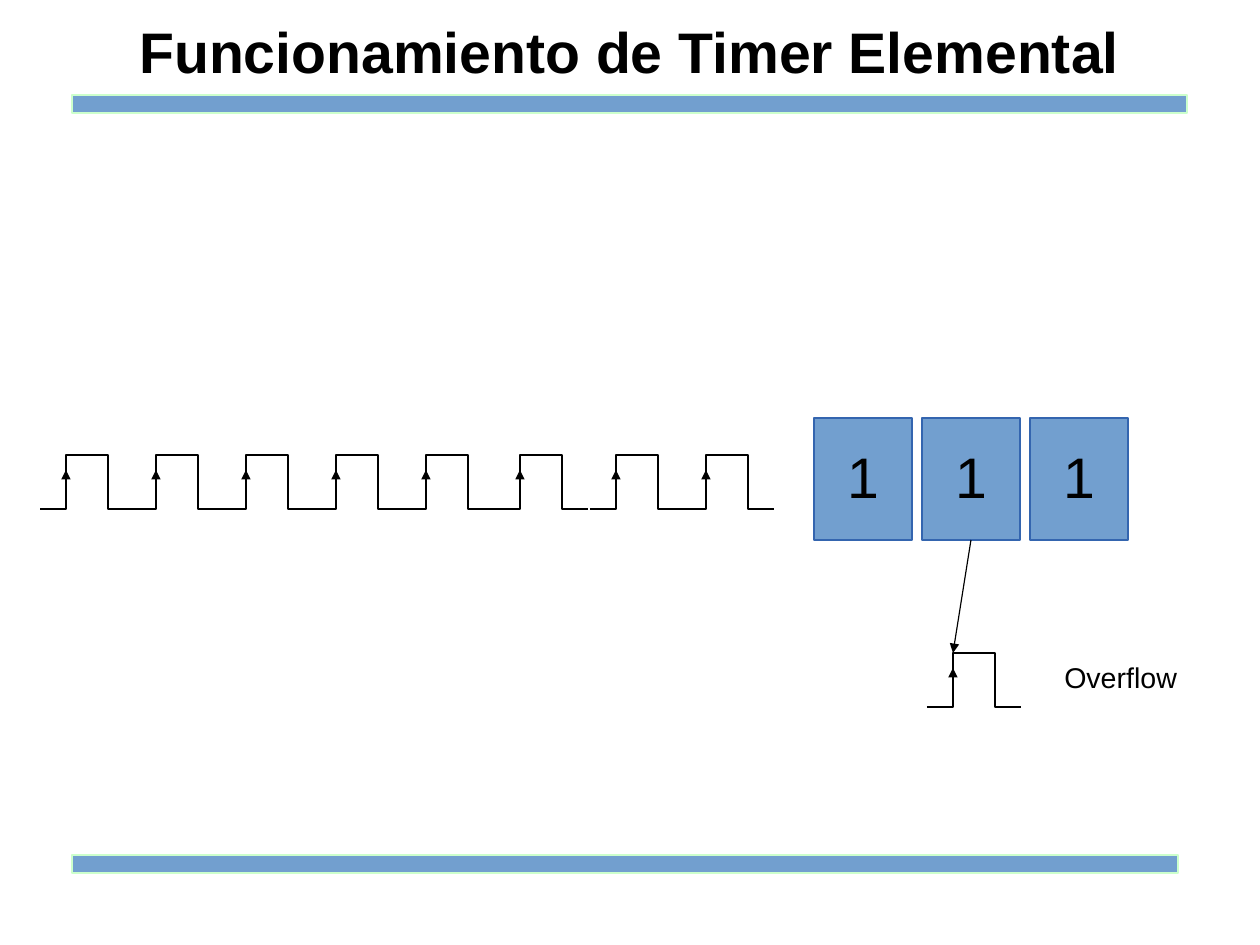
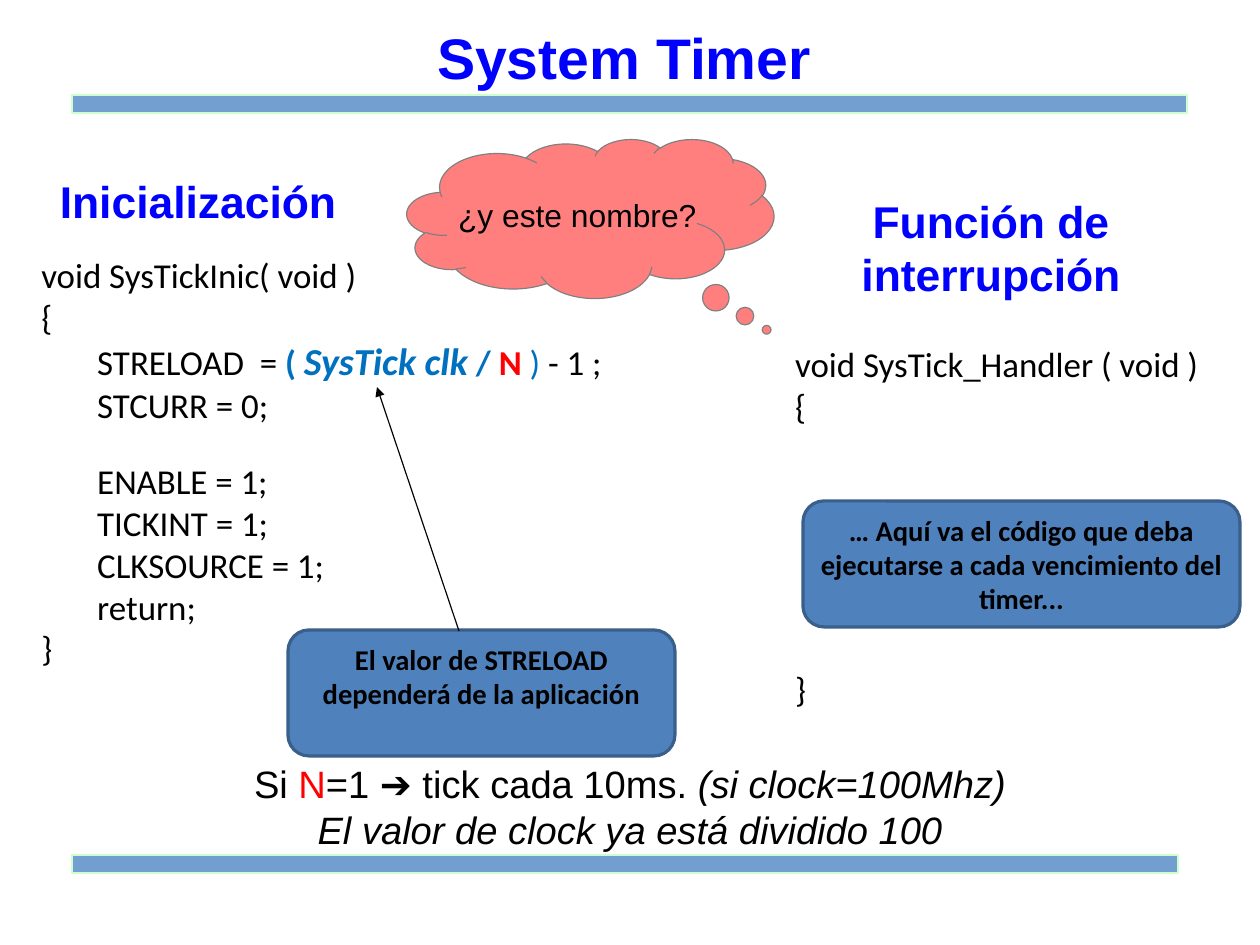
from lxml import etree
from pptx import Presentation
from pptx import util as u
from pptx.dml.color import RGBColor
from pptx.enum import shapes, text
from pptx.oxml.ns import qn

EMU_PER_PX = 8000
SLIDE_SIZE = (1260, 945)

# Shared colours and formats
BLACK, BLUE, RED, FORMULA = "000000", "0000FF", "FF0000", "0070C0"
BAND = {"fill": "729FCF", "line": "CCFFCC"}
REGISTER = {"fill": "729FCF", "line": "3465AF"}
NOTE = {"fill": "4F81BD", "line": "3A5F8B", "line_width": 2}
CLOUD = {"fill": RED, "line": "808080", "opacity": 50}

TITLE = {"name": "Arial", "size": 36, "bold": True, "color": BLACK}
BLUE_TITLE = {**TITLE, "color": BLUE}
HEADING = {**BLUE_TITLE, "size": 28}
DIGIT = {"name": "Arial", "size": 36, "color": BLACK}
LABEL = {**DIGIT, "size": 18}
QUESTION = {**DIGIT, "size": 20}
SUMMARY = {**DIGIT, "size": 24}
CODE = {"name": "Calibri", "size": 22, "color": BLACK}
NOTE_TEXT = {**CODE, "size": 18, "bold": True}

CENTER, LEFT = text.PP_ALIGN.CENTER, text.PP_ALIGN.LEFT
TOP, MIDDLE = text.MSO_ANCHOR.TOP, text.MSO_ANCHOR.MIDDLE
TAB_STOP = 56
BLANK_LINE = 21.7  # points left free in place of an empty code line

# Clock signal: offsets of the corners from the lower left end
PULSE_HEIGHT = 54
PULSE_RISE, PULSE_FALL, PULSE_END = 26, 68, 94
EDGE_ARROW = 39


def px(length):
    return u.Emu(length * EMU_PER_PX)


def rgb(color):
    return RGBColor.from_string(color)


def set_font(font, formats):
    for key, value in formats.items():
        if key == "color":
            font.color.rgb = rgb(value)
        else:
            setattr(font, key, u.Pt(value) if key == "size" else value)


def add_tab_stop(paragraph):
    properties = paragraph._p.get_or_add_pPr()
    tabs = etree.SubElement(properties, qn("a:tabLst"))
    etree.SubElement(tabs, qn("a:tab"), pos=str(px(TAB_STOP)), algn="l")


def write(shape, paragraphs, formats, align=CENTER, anchor=TOP, wrap=True,
          line_spacing=None, gaps=None):
    """Each paragraph is a string or a list of (text, format changes)."""
    frame = shape.text_frame
    frame.word_wrap = wrap
    frame.vertical_anchor = anchor
    for index, content in enumerate(paragraphs):
        paragraph = frame.paragraphs[0] if index == 0 else frame.add_paragraph()
        paragraph.alignment = align
        if line_spacing:
            paragraph.line_spacing = line_spacing
        if gaps and index in gaps:
            paragraph.space_before = u.Pt(gaps[index])
        runs = [(content, {})] if isinstance(content, str) else content
        if any("\t" in words for words, _ in runs):
            add_tab_stop(paragraph)
        for words, changes in runs:
            run = paragraph.add_run()
            run.text = words
            set_font(run.font, {**formats, **changes})


def add_text(slide, box, paragraphs, formats, **layout):
    shape = slide.shapes.add_textbox(*map(px, box))
    write(shape, paragraphs, formats, **layout)
    return shape


def add_box(slide, kind, box, fill, line, line_width=0.75, opacity=None):
    shape = slide.shapes.add_shape(kind, *map(px, box))
    shape.shadow.inherit = False
    shape.fill.solid()
    shape.fill.fore_color.rgb = rgb(fill)
    shape.line.color.rgb = rgb(line)
    shape.line.width = u.Pt(line_width)
    if opacity is not None:
        color = shape.element.spPr.find(qn("a:solidFill"))[0]
        etree.SubElement(color, qn("a:alpha"), val=str(opacity * 1000))
    return shape


def add_arrow(slide, start, end):
    arrow = slide.shapes.add_connector(
        shapes.MSO_CONNECTOR.STRAIGHT, *map(px, start + end))
    arrow.line.color.rgb = rgb(BLACK)
    arrow.line.width = u.Pt(0.75)
    properties = arrow.element.spPr
    etree.SubElement(properties.find(qn("a:ln")), qn("a:tailEnd"), type="triangle")
    etree.SubElement(properties, qn("a:effectLst"))
    return arrow


def add_pulse(slide, left, top):
    """Square pulse with an arrow on its rising edge."""
    bottom = top + PULSE_HEIGHT
    rise, fall = left + PULSE_RISE, left + PULSE_FALL
    builder = slide.shapes.build_freeform(left, bottom, scale=EMU_PER_PX)
    builder.add_line_segments(
        [(rise, bottom), (rise, top), (fall, top), (fall, bottom),
         (left + PULSE_END, bottom)], close=False)
    pulse = builder.convert_to_shape()
    pulse.shadow.inherit = False
    pulse.fill.background()
    pulse.line.color.rgb = rgb(BLACK)
    pulse.line.width = u.Pt(0.75)
    add_arrow(slide, (rise, bottom), (rise, bottom - EDGE_ARROW))


def add_note(slide, box, words):
    note = add_box(slide, shapes.MSO_SHAPE.ROUNDED_RECTANGLE, box, **NOTE)
    write(note, [words], NOTE_TEXT)


def add_slide(presentation):
    """Blank slide with the upper and lower bands."""
    slide = presentation.slides.add_slide(presentation.slide_layouts[6])
    for top, width in ((95, 1115), (855, 1106)):
        add_box(slide, shapes.MSO_SHAPE.FLOWCHART_PROCESS,
                (72, top, width, 18), **BAND)
    return slide


def build_elemental_timer(presentation):
    slide = add_slide(presentation)
    title = add_text(slide, (63, 14, 1133, 81), ["Funcionamiento de Timer Elemental"],
                     TITLE, anchor=MIDDLE, line_spacing=0.93)
    for side in ("left", "top", "right", "bottom"):
        setattr(title.text_frame, f"margin_{side}", 0)

    # Clock train
    for left in (*range(40, 401, 90), 494, 590, 680):
        add_pulse(slide, left, 455)

    # Three-bit counter
    registers = []
    for index in range(3):
        register = add_box(slide, shapes.MSO_SHAPE.RECTANGLE,
                           (814 + 108 * index, 418, 98, 122), **REGISTER)
        write(register, ["1"], DIGIT, anchor=MIDDLE, wrap=False, line_spacing=0.93)
        registers.append(register)

    # Overflow
    overflow_left, overflow_top = 927, 653
    add_pulse(slide, overflow_left, overflow_top)
    arrow = add_arrow(slide, (971, 540), (overflow_left + PULSE_RISE, overflow_top))
    arrow.begin_connect(registers[1], 2)
    add_text(slide, (1053, 657, 150, 43), ["Overflow"], LABEL,
             align=LEFT, line_spacing=0.93)


def build_system_timer(presentation):
    slide = add_slide(presentation)
    add_text(slide, (72, 17, 1104, 71), ["System Timer"], BLUE_TITLE)

    # Initialisation code
    formula = {"color": FORMULA, "bold": True}
    add_text(slide, (30, 248, 814, 595), [
        "void SysTickInic( void )",
        "{",
        [("\tSTRELOAD  = ", {}),
         ("( ", formula),
         ("SysTick clk", {**formula, "size": 24, "italic": True}),
         (" / ", formula),
         ("N", {"color": RED, "bold": True}),
         (" ) ", {"color": FORMULA}),
         ("- 1 ;", {})],
        "\tSTCURR = 0;",
        "\tENABLE = 1;",
        "\tTICKINT = 1;",
        "\tCLKSOURCE = 1;",
        "\treturn;",
        "}",
    ], CODE, align=LEFT, gaps={4: BLANK_LINE})
    add_note(slide, (288, 630, 387, 126),
             "El valor de STRELOAD dependerá de la aplicación")
    add_arrow(slide, (459, 631), (377, 387))
    add_text(slide, (0, 168, 396, 71), ["Inicialización"], HEADING)

    # Interrupt handler
    add_text(slide, (784, 337, 476, 394),
             ["void SysTick_Handler ( void )", "{", "}"],
             CODE, align=LEFT, gaps={2: 7 * BLANK_LINE})
    add_note(slide, (803, 501, 437, 126),
             "… Aquí va el código que deba ejecutarse a cada vencimiento del timer...")
    add_text(slide, (752, 188, 478, 130), ["Función de interrupción"], HEADING)

    # Question and summary
    cloud = add_box(slide, shapes.MSO_SHAPE.CLOUD_CALLOUT,
                    (407, 139, 367, 159), **CLOUD)
    cloud.adjustments[0], cloud.adjustments[1] = 0.48, 0.7
    write(cloud, ["¿y este nombre?"], QUESTION, anchor=MIDDLE, wrap=False)
    add_text(slide, (90, 755, 1080, 98), [
        [("Si ", {}), ("N", {"color": RED}), ("=1 ➔ tick cada 10ms. ", {}),
         ("(si clock=100Mhz)", {"italic": True})],
        [("El valor de clock ya está dividido 100", {"italic": True})],
    ], SUMMARY)


def main():
    presentation = Presentation()
    presentation.slide_width, presentation.slide_height = map(px, SLIDE_SIZE)
    build_elemental_timer(presentation)
    build_system_timer(presentation)
    presentation.save("out.pptx")


if __name__ == "__main__":
    main()
